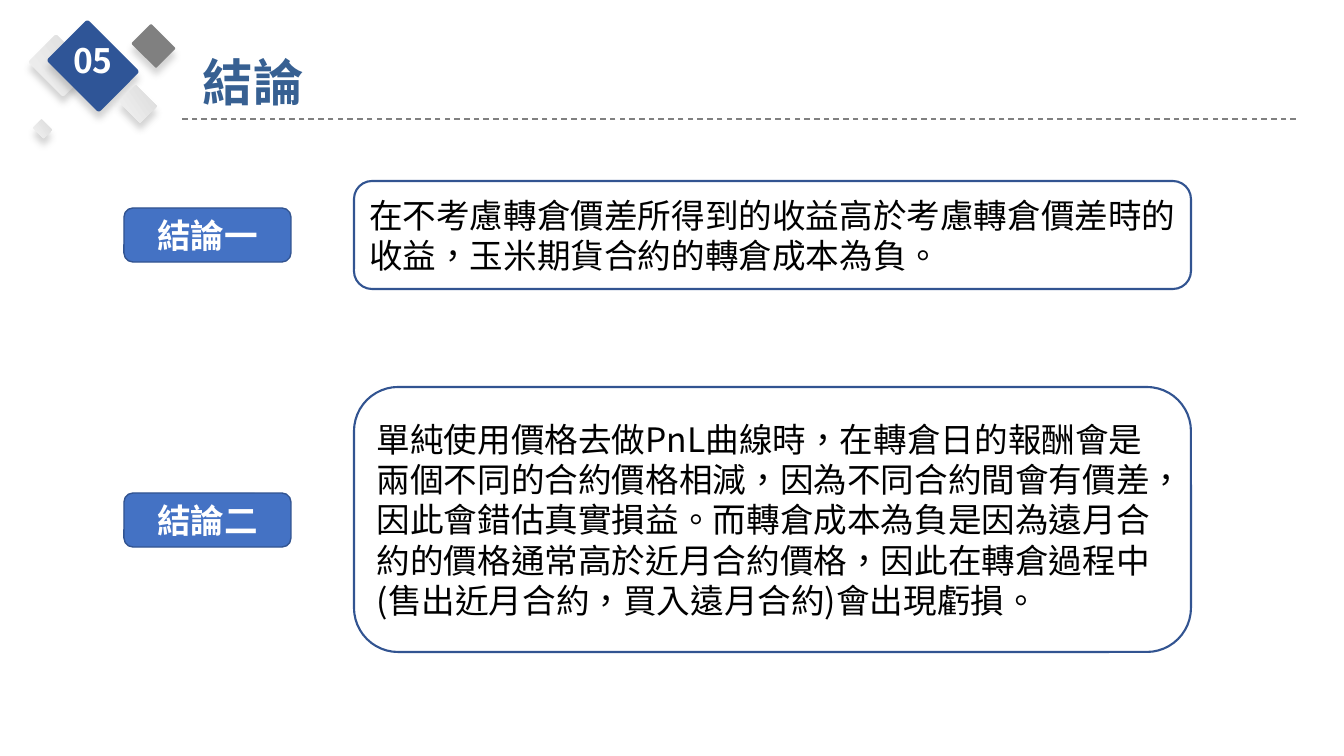
"""Build the conclusion slide with a diamond motif and two labelled statements."""
from lxml import etree
from pptx import Presentation
from pptx.dml.color import RGBColor
from pptx.enum.dml import MSO_LINE
from pptx.enum.shapes import MSO_CONNECTOR, MSO_SHAPE
from pptx.enum.text import MSO_ANCHOR, MSO_AUTO_SIZE, PP_ALIGN
from pptx.oxml.ns import qn
from pptx.util import Pt

ROUND_RECT = MSO_SHAPE.ROUNDED_RECTANGLE
STRAIGHT = MSO_CONNECTOR.STRAIGHT
DASH = MSO_LINE.DASH
MIDDLE = MSO_ANCHOR.MIDDLE
GROW = MSO_AUTO_SIZE.SHAPE_TO_FIT_TEXT
LEFT, CENTER = PP_ALIGN.LEFT, PP_ALIGN.CENTER

WHITE = RGBColor(0xFF, 0xFF, 0xFF)
BLACK = RGBColor(0x00, 0x00, 0x00)
GRAY = RGBColor(0x80, 0x80, 0x80)
PALE_GRAY = RGBColor(0xF2, 0xF2, 0xF2)
LIGHT_GRAY = RGBColor(0xDB, 0xDB, 0xDB)
NAVY = RGBColor(0x2F, 0x55, 0x97)
BORDER_BLUE = RGBColor(0x32, 0x54, 0x91)
LABEL_BLUE = RGBColor(0x44, 0x72, 0xC4)
TITLE_BLUE = RGBColor(0x37, 0x60, 0x92)
FONT = "Noto Sans CJK SC"
SCALE = 914400 / 100.8


def px(*lengths):
    return [round(length * SCALE) for length in lengths]


def write(sp, text, size, color, bold, align):
    p = sp.text_frame.paragraphs[0]
    p.text = text
    p.alignment = align
    r = p.runs[0]
    r.font.size = Pt(size)
    r.font.bold = bold
    r.font.color.rgb = color
    r.font.name = FONT
    rPr = r.font._element
    rPr.set("lang", "zh-TW")
    etree.SubElement(rPr, qn("a:ea")).set("typeface", FONT)


prs = Presentation()
prs.slide_width, prs.slide_height = px(1344, 756)
s = prs.slides.add_slide(prs.slide_layouts[6])

rule = s.shapes.add_connector(STRAIGHT, *px(1296, 119, 178, 119))
rule.line.color.rgb = GRAY
rule.line.width = Pt(1)
rule.line.dash_style = DASH
etree.SubElement(rule._element.spPr, qn("a:effectLst"))

title = s.shapes.add_textbox(*px(193, 46, 550, 72))
title.text_frame.word_wrap = True
title.text_frame.auto_size = GROW
write(title, "結論", 36, TITLE_BLUE, True, LEFT)

diamonds = [
    (35, 46, 49, 39, None),
    (56, 37, 74, 58, NAVY),
    (136, 32, 35, 28, GRAY),
    (123, 92, 30, 24, None),
    (35, 123, 15, 12, None),
]
for x, y, w, h, color in diamonds:
    sp = s.shapes.add_shape(ROUND_RECT, *px(x, y, w, h))
    sp.rotation = 45
    sp.adjustments[0] = 0.05
    sp.line.fill.background()
    if color is None:
        sp.fill.gradient()
        sp.fill.gradient_angle = 80
        for stop, position, shade in zip(sp.fill.gradient_stops, (0, 1), (PALE_GRAY, LIGHT_GRAY)):
            stop.position = position
            stop.color.rgb = shade
    else:
        sp.fill.solid()
        sp.fill.fore_color.rgb = color
    sp.shadow.inherit = False
    effects = sp._element.spPr.find(qn("a:effectLst"))
    shadow = etree.SubElement(effects, qn("a:outerShdw"), blurRad=str(Pt(5)),
                              dist=str(Pt(5)), dir="5400000", algn="t", rotWithShape="0")
    tint = etree.SubElement(shadow, qn("a:srgbClr"), val="595959")
    etree.SubElement(tint, qn("a:alpha"), val="25000")

number = s.shapes.add_textbox(*px(62, 35, 62, 50))
number.text_frame.word_wrap = False
number.text_frame.auto_size = GROW
write(number, "05", 24, WHITE, True, CENTER)

conclusions = [
    ("結論一", 208, 181, 108,
     "在不考慮轉倉價差所得到的收益高於考慮轉倉價差時的收益，玉米期貨合約的轉倉成本為負。"),
    ("結論二", 493, 387, 265,
     "單純使用價格去做PnL曲線時，在轉倉日的報酬會是兩個不同的合約價格相減，"
     "因為不同合約間會有價差，因此會錯估真實損益。而轉倉成本為負是因為遠月合約的價格"
     "通常高於近月合約價格，因此在轉倉過程中(售出近月合約，買入遠月合約)會出現虧損。"),
]
for heading, label_y, box_y, box_h, statement in conclusions:
    label = s.shapes.add_shape(ROUND_RECT, *px(124, label_y, 167, 54))
    label.fill.solid()
    label.fill.fore_color.rgb = LABEL_BLUE
    label.line.width = Pt(1)
    write(label, heading, 24, WHITE, True, CENTER)

    box = s.shapes.add_shape(ROUND_RECT, *px(354, box_y, 837, box_h))
    box.fill.background()
    box.line.width = Pt(1.5)
    write(box, statement, 24, BLACK, False, LEFT)

    for sp in (label, box):
        sp.shadow.inherit = False
        sp.line.color.rgb = BORDER_BLUE
        sp.text_frame.word_wrap = True
        sp.text_frame.vertical_anchor = MIDDLE

prs.save("out.pptx")
